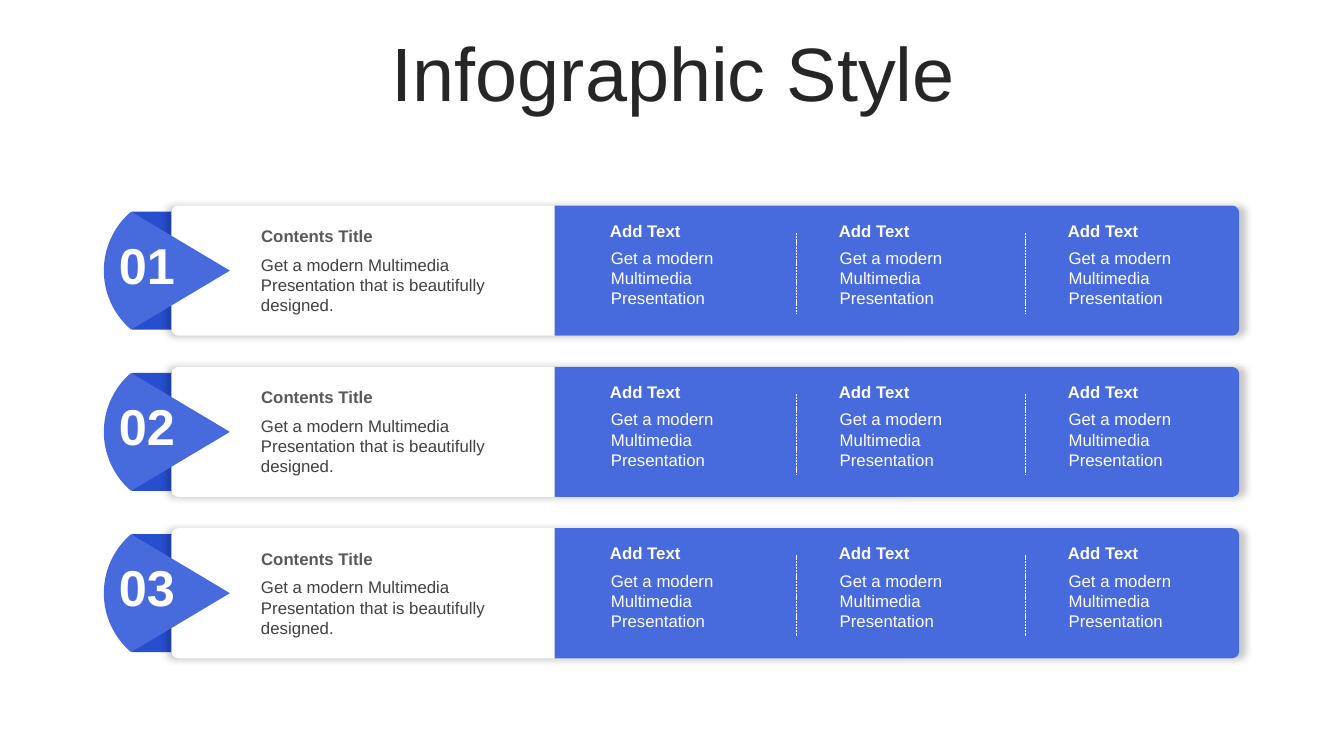
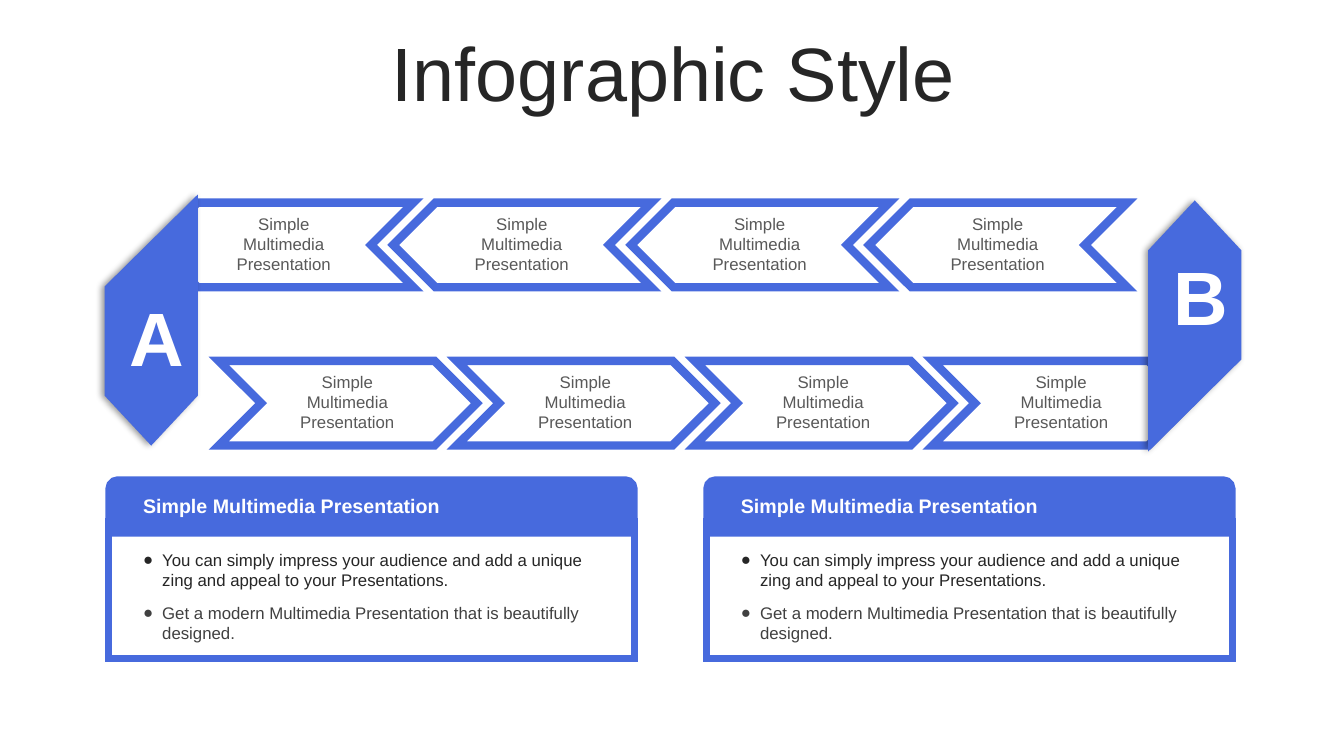
from dataclasses import dataclass
from math import asin, cos, hypot, sin

from lxml.etree import SubElement
from pptx import Presentation
from pptx.dml.color import RGBColor
from pptx.enum.dml import MSO_LINE
from pptx.enum.shapes import MSO_CONNECTOR, MSO_SHAPE
from pptx.enum.text import MSO_ANCHOR, PP_ALIGN
from pptx.oxml.ns import qn
from pptx.util import Inches, Pt


@dataclass(frozen=True)
class Theme:
    font: str = "Arial"
    accent: str = "476ADD"
    accent_dark: str = "264ECF"
    white: str = "FFFFFF"
    ink: str = "262626"
    body: str = "404040"
    muted: str = "595959"
    title_size: int = 54
    number_size: int = 36
    heading_size: int = 14
    body_size: int = 12


T = Theme()
WIDE_INSET = 0.12
SHORT_TEXT = "Get a modern Multimedia Presentation"
LONG_TEXT = f"{SHORT_TEXT} that is beautifully designed."
STEP_TEXT = "Simple Multimedia Presentation"
IMPRESS_TEXT = ("You can simply impress your audience and add a unique "
                "zing and appeal to your Presentations.")


def add_bullet(p):
    pPr = p._p.get_or_add_pPr()
    pPr.set("marL", str(Inches(0.19)))
    pPr.set("indent", str(-Inches(0.19)))
    SubElement(pPr, qn("a:buFont"), typeface=T.font)
    SubElement(pPr, qn("a:buChar"), char="●")


def add_text(slide, box, text, size=T.body_size, color=T.body, bold=False,
             align=PP_ALIGN.LEFT, anchor=MSO_ANCHOR.TOP, inset=0.1,
             bullet=False, spacing=None, tf=None, before=0):
    if tf is None:
        tf = slide.shapes.add_textbox(*map(Inches, box)).text_frame
        tf.word_wrap = True
        tf.vertical_anchor = anchor
        tf.margin_left = tf.margin_right = Inches(inset)
        p = tf.paragraphs[0]
    else:
        p = tf.add_paragraph()
        p.space_before = Pt(before)
    p.alignment = align
    if spacing:
        p.line_spacing = spacing
    if bullet:
        add_bullet(p)
    r = p.add_run()
    r.text = text
    r.font.name = T.font
    r.font.size = Pt(size)
    r.font.bold = bold
    r.font.color.rgb = RGBColor.from_string(color)
    return tf


def style(sp, fill, line=None, width=0):
    sp.shadow.inherit = False
    sp.fill.solid()
    sp.fill.fore_color.rgb = RGBColor.from_string(fill)
    if line:
        sp.line.color.rgb = RGBColor.from_string(line)
        sp.line.width = Pt(width)
        ln = sp.element.spPr.find(qn("a:ln"))
        SubElement(ln, qn("a:miter"), lim="800000")
    else:
        sp.line.fill.background()
    return sp


def add_shape(slide, kind, box, fill, line=None, width=0, rotation=0, adj=None):
    sp = slide.shapes.add_shape(kind, *map(Inches, box))
    sp.rotation = rotation
    if adj is not None:
        sp.adjustments[0] = adj
    return style(sp, fill, line, width)


def add_outline(slide, points, fill, line=None, width=0):
    start, *rest = [(Inches(x), Inches(y)) for x, y in points]
    builder = slide.shapes.build_freeform(*start)
    builder.add_line_segments(rest, close=True)
    return style(builder.convert_to_shape(), fill, line, width)


def add_shadow(sp, alpha, distance=0, scale=100):
    effects = sp.element.spPr.find(qn("a:effectLst"))
    shadow = SubElement(effects, qn("a:outerShdw"), blurRad=str(Pt(5)),
                        dist=str(Pt(distance)), dir="10800000",
                        sx=str(scale * 1000), algn="ctr", rotWithShape="0")
    color = SubElement(shadow, qn("a:srgbClr"), val="000000")
    SubElement(color, qn("a:alpha"), val=str(alpha * 1000))


def add_divider(slide, x, top, bottom):
    line = slide.shapes.add_connector(
        MSO_CONNECTOR.STRAIGHT, *map(Inches, (x, top, x, bottom)))
    line.line.color.rgb = RGBColor.from_string(T.white)
    line.line.width = Pt(0.5)
    line.line.dash_style = MSO_LINE.SQUARE_DOT
    SubElement(line.element.spPr, qn("a:effectLst"))


def new_slide(prs, title):
    slide = prs.slides.add_slide(prs.slide_layouts[6])
    add_text(slide, (0.35, 0.37, 12.66, 0.79), title, size=T.title_size,
             color=T.ink, align=PP_ALIGN.CENTER, anchor=MSO_ANCHOR.MIDDLE,
             spacing=0.9)
    return slide


def add_wedge(slide, x, y, w, h):
    bulge, half = 0.27, h / 2
    radius = hypot(half, bulge) ** 2 / (2 * bulge)
    spread = asin(half / radius)
    angles = [spread * (1 - i / 16) for i in range(33)]
    arc = [(x + radius * (1 - cos(a)), y + half + radius * sin(a))
           for a in angles]
    add_outline(slide, [(x + w, y + half), *arc], T.accent)


def add_column(slide, x, y):
    add_text(slide, (x, y, 1.65, 0.3), "Add Text", color=T.white, bold=True,
             inset=WIDE_INSET)
    add_text(slide, (x + 0.03, y + 0.27, 1.65, 0.71), SHORT_TEXT, color=T.white)


def add_row(slide, number, x, y, w, h):
    add_shape(slide, MSO_SHAPE.RECTANGLE, (x + 0.28, y + 0.06, 2.41, 1.17),
              T.accent_dark)
    card = add_shape(slide, MSO_SHAPE.ROUNDED_RECTANGLE,
                     (x + 0.67, y, w - 0.67, h), T.white, adj=0.053)
    add_shadow(card, 22, scale=101)
    add_wedge(slide, x, y + 0.06, 1.25, 1.17)

    panel_x, panel_w = x + 4.47, w - 4.47
    add_shape(slide, MSO_SHAPE.ROUND_2_SAME_RECTANGLE,
              (panel_x + (panel_w - h) / 2, y - (panel_w - h) / 2, h, panel_w),
              T.accent, rotation=90, adj=0.053)

    add_text(slide, (x + 1.44, y + 0.15, 2.79, 0.3), "Contents Title",
             color=T.muted, bold=True, anchor=MSO_ANCHOR.MIDDLE,
             inset=WIDE_INSET)
    add_text(slide, (x + 1.46, y + 0.43, 2.78, 0.71), LONG_TEXT,
             anchor=MSO_ANCHOR.MIDDLE)
    for i in range(3):
        column_x = panel_x + 0.43 + 2.27 * i
        add_column(slide, column_x, y + 0.1)
        if i:
            add_divider(slide, column_x - 0.3, y + 0.27, y + 1.07)
    add_text(slide, (x + 0.03, y + 0.23, 1.25, 0.71), number,
             size=T.number_size, color=T.white, bold=True, inset=WIDE_INSET)


def add_chevrons(slide, x, y, text_dx, rotation=0):
    for i in range(4):
        left = x + 2.36 * i
        add_shape(slide, MSO_SHAPE.CHEVRON, (left, y, 2.56, 0.84), T.white,
                  T.accent, 6, rotation)
        add_text(slide, (left + text_dx, y + 0.06, 1.21, 0.71), STEP_TEXT,
                 color=T.muted, align=PP_ALIGN.CENTER)


def add_end(slide, letter, x, y, w, h, letter_dy, flipped=False):
    points = [(w, 0), (w, 1.88), (w / 2, h), (0, 1.88), (0, 0.83)]
    if flipped:
        points = [(w - px, h - py) for px, py in points]
    end = add_outline(slide, [(x + px, y + py) for px, py in points],
                      T.accent, T.accent, 6)
    add_shadow(end, 40, distance=2)
    add_text(slide, (x + 0.11, y + letter_dy, 0.63, 1.01), letter,
             size=T.title_size, color=T.white, bold=True,
             align=PP_ALIGN.CENTER)


def add_card(slide, x, y, w, h):
    add_shape(slide, MSO_SHAPE.RECTANGLE, (x, y + 0.41, w, h - 0.41),
              T.white, T.accent, 5)
    add_shape(slide, MSO_SHAPE.ROUND_2_SAME_RECTANGLE, (x, y, w, 0.53),
              T.accent, T.accent, 5)
    add_text(slide, (x + 0.24, y + 0.09, 4.75, 0.34), STEP_TEXT,
             size=T.heading_size, color=T.white, bold=True)
    tf = add_text(slide, (x + 0.24, y + 0.64, 4.75, 1.02), IMPRESS_TEXT,
                  color=T.ink, bullet=True)
    add_text(slide, None, LONG_TEXT, bullet=True, tf=tf, before=9)


def build_rows_slide(prs):
    slide = new_slide(prs, "Infographic Style")
    for i in range(3):
        add_row(slide, f"{i + 1:02}", 1.03, 2.04 + 1.6 * i, 11.26, 1.29)


def build_loop_slide(prs):
    slide = new_slide(prs, "Infographic Style")
    add_chevrons(slide, 1.54, 2.01, 0.67, rotation=180)
    add_chevrons(slide, 2.17, 3.58, 0.67)
    add_end(slide, "A", 1.08, 2.03, 0.84, 2.33, 0.81)
    add_end(slide, "B", 11.43, 2.05, 0.84, 2.33, 0.38, flipped=True)
    for x in (1.08, 7.01):
        add_card(slide, x, 4.76, 5.21, 1.77)


def main():
    prs = Presentation()
    prs.slide_width, prs.slide_height = Inches(13.33), Inches(7.5)
    build_rows_slide(prs)
    build_loop_slide(prs)
    prs.save("out.pptx")


if __name__ == "__main__":
    main()
